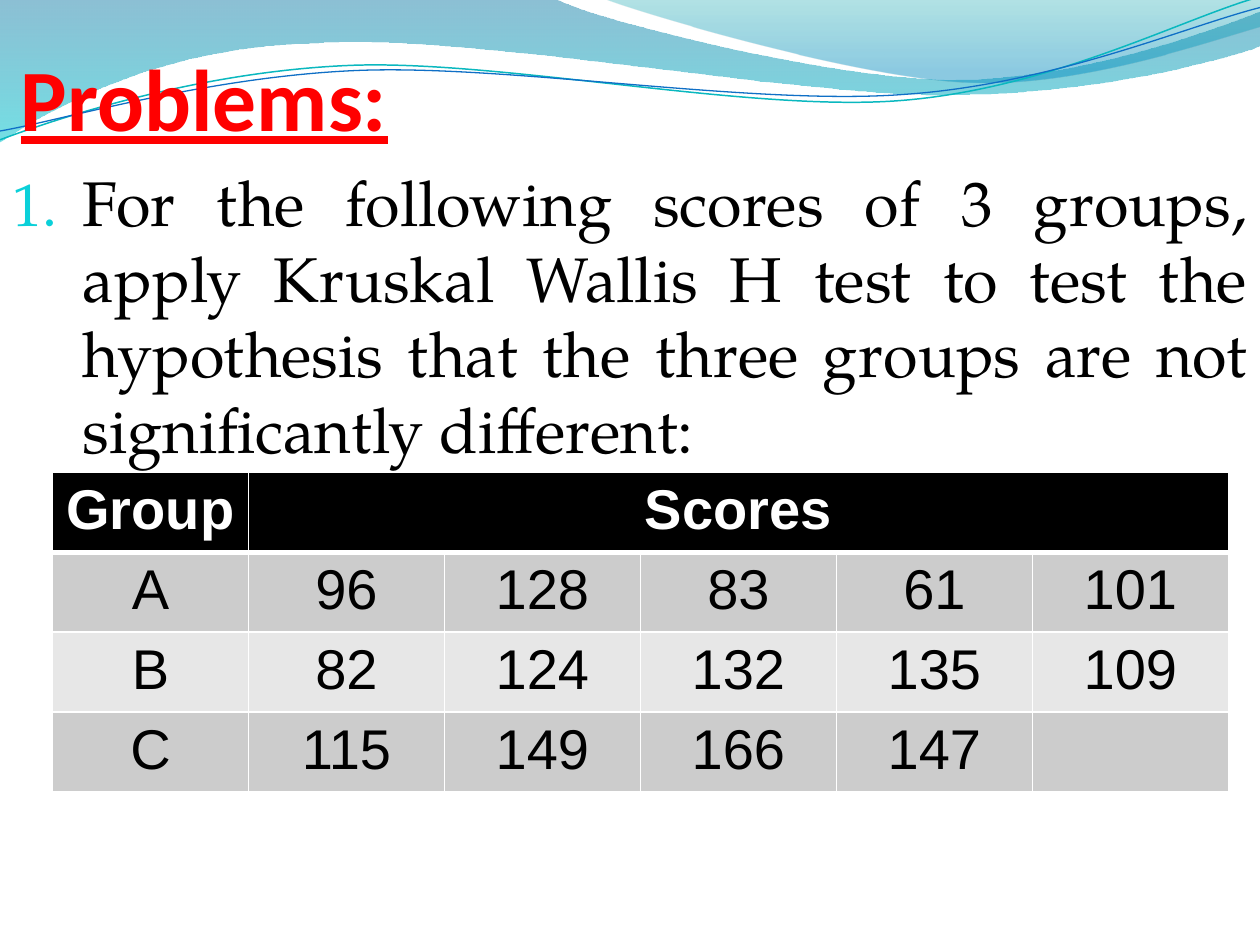
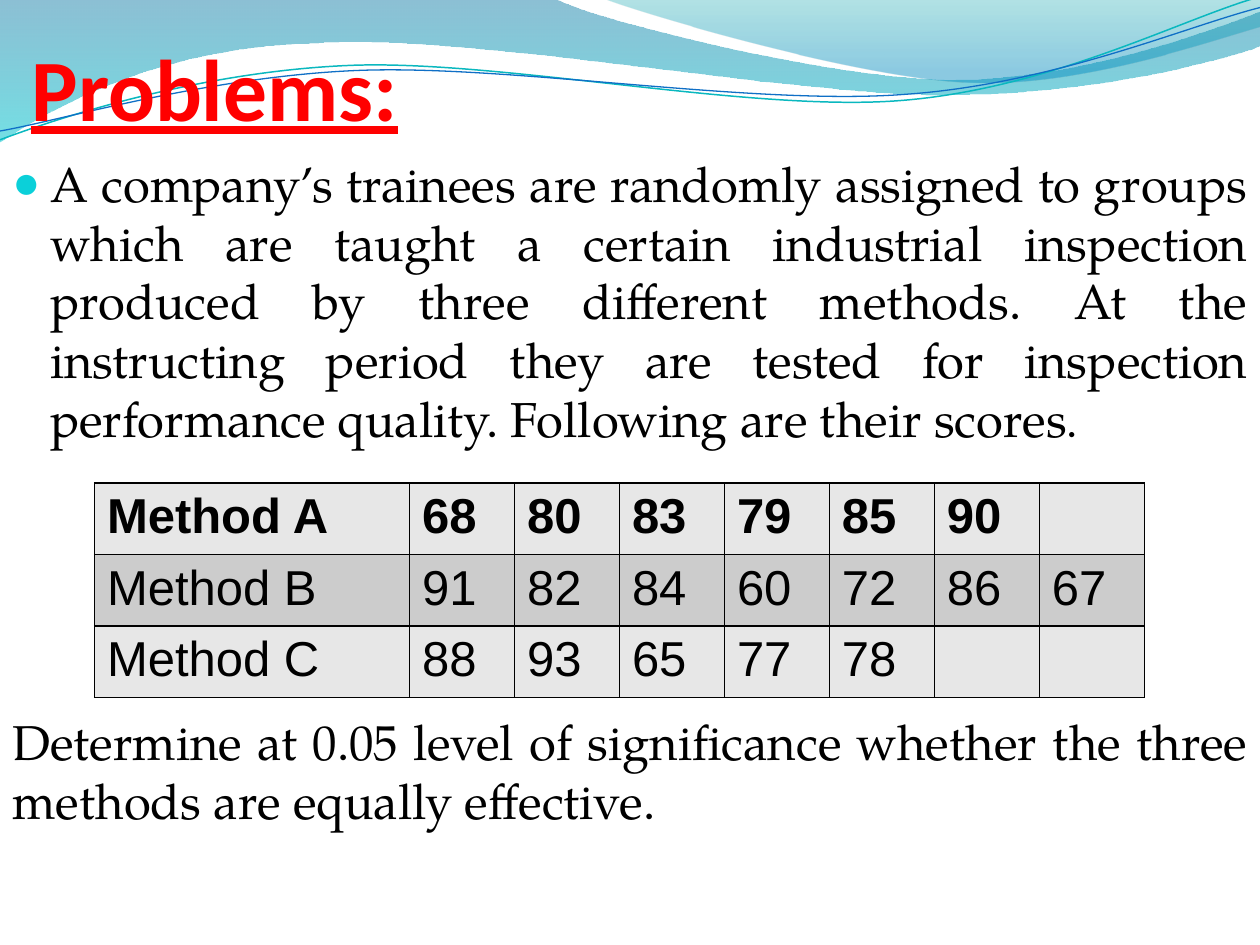
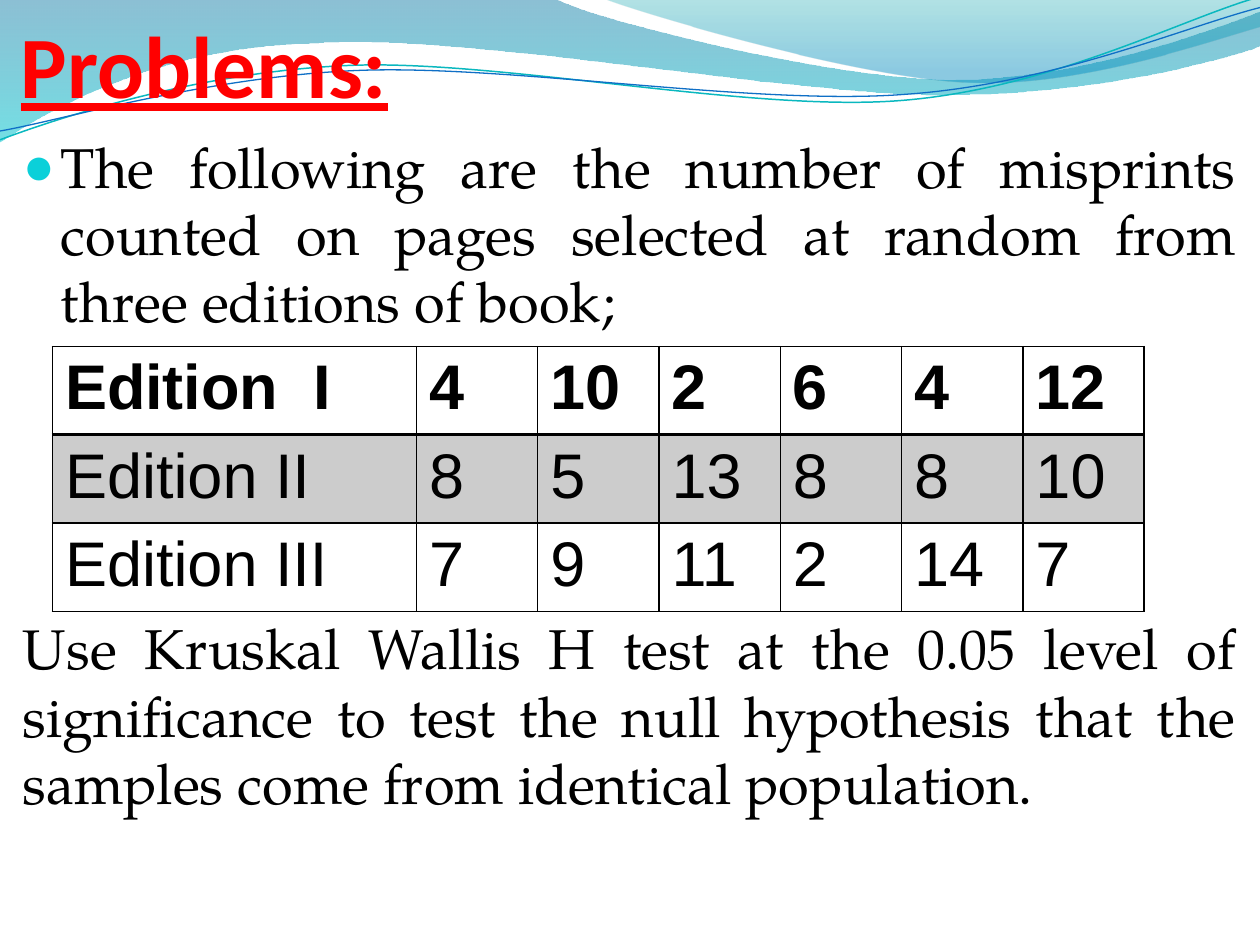
from dataclasses import dataclass

from lxml.etree import SubElement
from pptx import Presentation
from pptx.dml.color import RGBColor
from pptx.enum.text import MSO_ANCHOR as Anchor, PP_ALIGN as Align
from pptx.oxml.ns import qn
from pptx.util import Inches, Pt

GRID_COLUMNS, GRID_ROWS = 120, 90
CELLS_PER_INCH = 12
ROW_HEIGHT = 0.41


@dataclass(frozen=True)
class Theme:
    title_font: str = "Calibri"
    body_font: str = "TeX Gyre Pagella"
    table_font: str = "Arial"
    bullet_font: str = "Arial"
    title_size: int = 50
    title_color: str = "FF0000"
    bullet_color: str = "0BD0D9"
    black: str = "000000"
    white: str = "FFFFFF"
    dark_band: str = "CCCCCC"
    light_band: str = "E7E7E7"


THEME = Theme()

# Wave outlines in inches: a start, then line ends (2 numbers) or curves (6 numbers).
BANDS = [
    {"start": (0, 0),
     "segments": [(4.4, -0.01), (4.76, 0.17, 6.64, 0.63, 7.58, 0.63),
                  (8.53, 0.63, 9.58, 0.26, 10, 0.09), (10.01, 0.36),
                  (9.83, 0.44, 8.7, 0.76, 7.46, 0.75),
                  (6.22, 0.75, 3.82, 0.28, 2.57, 0.34),
                  (1.29, 0.36, 0.46, 0.83, -0.01, 1.13), (0, 0)],
     "stops": [(0, "0074A1", 45), (1, "00C6CF", 55)]},
    {"start": (4.79, -0.01),
     "segments": [(5.09, 0.11, 6.82, 0.62, 7.69, 0.65),
                  (8.56, 0.69, 9.61, 0.32, 10, 0.21), (10, 0), (4.79, -0.01)],
     "stops": [(0, "00A1A9", 30), (0.8, "008BBF", 45)]},
]
STROKES = [
    {"start": (0, 1.11),
     "segments": [(0.48, 0.93, 1.58, 0.57, 2.77, 0.52),
                  (3.95, 0.47, 5.93, 0.89, 7.13, 0.8),
                  (8.33, 0.71, 9.38, 0.15, 9.98, -0.02)],
     "color": "0AB8BF", "width": 0.85},
    {"start": (0, 1.04),
     "segments": [(0.47, 0.96, 1.64, 0.61, 2.83, 0.56),
                  (4.03, 0.51, 5.97, 0.84, 7.17, 0.75),
                  (8.36, 0.67, 9.41, 0.21, 10, 0.06)],
     "color": "0F6FC6", "width": 0.75},
]


def grid(cells):
    return Inches(cells / CELLS_PER_INCH)


def rgb(color):
    return RGBColor.from_string(color)


def bend(shape, segments):
    """Turn each run of three lines that stands for a curve into a real curve."""
    lines = iter(list(shape.element.iter(qn("a:lnTo"))))
    for segment in segments:
        first = next(lines)
        if len(segment) == 6:
            first.tag = qn("a:cubicBezTo")
            for _ in range(2):
                line = next(lines)
                first.append(line[0])
                line.getparent().remove(line)


def add_outline(page, start, segments, close):
    points = [(Inches(segment[i]), Inches(segment[i + 1]))
              for segment in segments for i in range(0, len(segment), 2)]
    builder = page.shapes.build_freeform(Inches(start[0]), Inches(start[1]), scale=1.0)
    builder.add_line_segments(points, close=close)
    shape = builder.convert_to_shape()
    bend(shape, segments)
    shape.shadow.inherit = False
    return shape


def add_band(page, start, segments, stops):
    band = add_outline(page, start, segments, close=True)
    band.line.fill.background()
    band.fill.gradient()
    band.fill.gradient_angle = 270
    for stop, (position, color, _) in zip(band.fill.gradient_stops, stops):
        stop.position = position
        stop.color.rgb = rgb(color)
    for node, (_, _, opacity) in zip(band.element.iter(qn("a:srgbClr")), stops):
        SubElement(node, qn("a:alpha"), val=str(opacity * 1000))


def add_stroke(page, start, segments, color, width):
    stroke = add_outline(page, start, segments, close=False)
    stroke.fill.background()
    stroke.line.color.rgb = rgb(color)
    stroke.line.width = Pt(width)


def add_page(deck):
    """Add a blank slide with the wave header."""
    page = deck.slides.add_slide(deck.slide_layouts[6])
    for band in BANDS:
        add_band(page, **band)
    for stroke in STROKES:
        add_stroke(page, **stroke)
    return page


def style(paragraph, font, size, color, bold=False, underline=False):
    for span in paragraph.runs:
        span.font.name = font
        span.font.size = Pt(size)
        span.font.color.rgb = rgb(color)
        span.font.bold = bold
        span.font.underline = underline


def add_box(page, left, top, width, height):
    box = page.shapes.add_textbox(grid(left), grid(top), grid(width), grid(height))
    box.text_frame.word_wrap = True
    return box.text_frame


def add_title(page, left, top, height):
    frame = add_box(page, left, top, 108, height)
    frame.vertical_anchor = Anchor.BOTTOM
    frame.margin_left = frame.margin_right = frame.margin_bottom = 0
    para = frame.paragraphs[0]
    para.text = "Problems:"
    style(para, THEME.title_font, THEME.title_size, THEME.title_color,
          bold=True, underline=True)


def add_bullet(para, indent, numbered):
    properties = para._p.get_or_add_pPr()
    properties.set("marL", str(Inches(indent)))
    properties.set("indent", str(-Inches(indent)))
    tint = SubElement(properties, qn("a:buClr"))
    SubElement(tint, qn("a:srgbClr"), val=THEME.bullet_color)
    SubElement(properties, qn("a:buSzPct"), val="95000")
    if numbered:
        SubElement(properties, qn("a:buAutoNum"), type="arabicPeriod")
    else:
        SubElement(properties, qn("a:buFont"), typeface=THEME.bullet_font)
        SubElement(properties, qn("a:buChar"), char="●")


def add_body(page, margin, top, size, question, task=None, table_gap=0,
             indent=0.3, numbered=False):
    """Write the bulleted question and, after room for the table, the task."""
    frame = add_box(page, margin, top, GRID_COLUMNS - 2 * margin, GRID_ROWS - top)
    para = frame.paragraphs[0]
    para.text = question
    para.space_before = Pt(0.2 * size)
    add_bullet(para, indent, numbered)
    if task:
        closing = frame.add_paragraph()
        closing.text = task
        closing.space_before = Pt(table_gap)
    for para in frame.paragraphs:
        para.alignment = Align.JUSTIFY
        style(para, THEME.body_font, size, THEME.black)
    return frame


def set_borders(cell, color, top, bottom):
    properties = cell._tc.get_or_add_tcPr()
    for tag, width in (("lnL", 1), ("lnR", 1), ("lnT", top), ("lnB", bottom)):
        edge = SubElement(properties, qn(f"a:{tag}"), w=str(Pt(width)))
        fill = SubElement(edge, qn("a:solidFill"))
        SubElement(fill, qn("a:srgbClr"), val=color)


def add_table(page, left, top, width, height, rows, size, fills, border,
              label_share=1, header_rule=1, header_color=THEME.black, align=Align.LEFT):
    """Add a table whose first column is label_share times as wide as the others."""
    count = len(rows[0])
    frame = page.shapes.add_table(len(rows), count, grid(left), grid(top),
                                  grid(width), Inches(height))
    table = frame.table
    table.first_row = table.horz_banding = False
    unit = width / (count - 1 + label_share)
    for index, column in enumerate(table.columns):
        column.width = grid(unit * (label_share if index == 0 else 1))
    for row in table.rows:
        row.height = Inches(ROW_HEIGHT)
    frame.height = Inches(height)
    for r, (values, fill) in enumerate(zip(rows, fills)):
        for c, value in enumerate(values):
            cell = table.cell(r, c)
            set_borders(cell, border, header_rule if r == 1 else 1,
                        header_rule if r == 0 else 1)
            if fill:
                cell.fill.solid()
                cell.fill.fore_color.rgb = rgb(fill)
            else:
                cell.fill.background()
            para = cell.text_frame.paragraphs[0]
            para.text = value
            para.alignment = align
            style(para, THEME.table_font, size,
                  header_color if r == 0 else THEME.black, bold=r == 0)
    return table


def build_groups(deck):
    page = add_page(deck)
    add_title(page, 2, 2, 12.2)
    add_body(page, 0, 15, 36,
             "For the following scores of 3 groups, apply Kruskal Wallis H test to test "
             "the hypothesis that the three groups are not significantly different:",
             indent=0.56, numbered=True)
    rows = [["Group", "Scores", "", "", "", ""],
            ["A", "96", "128", "83", "61", "101"],
            ["B", "82", "124", "132", "135", "109"],
            ["C", "115", "149", "166", "147", ""]]
    fills = [THEME.black, THEME.dark_band, THEME.light_band, THEME.dark_band]
    table = add_table(page, 5, 45, 112, 2.53, rows, 32, fills, THEME.white,
                      header_rule=3, header_color=THEME.white, align=Align.CENTER)
    table.cell(0, 1).merge(table.cell(0, 5))


def build_methods(deck):
    page = add_page(deck)
    add_title(page, 3, 2, 11.2)
    frame = add_body(
        page, 0, 14, 28,
        "A company’s trainees are randomly assigned to groups which are taught a "
        "certain industrial inspection produced by three different methods. At the "
        "instructing period they are tested for inspection performance quality. "
        "Following are their scores",
        "Determine at 0.05 level of significance whether the three methods are "
        "equally effective.", table_gap=151)
    question = frame.paragraphs[0]
    full_stop = question.add_run()
    full_stop.text = "."
    style(question, THEME.body_font, 28, THEME.black)
    full_stop.font.size = Pt(26)
    rows = [["Method A", "68", "80", "83", "79", "85", "90", ""],
            ["Method B", "91", "82", "84", "60", "72", "86", "67"],
            ["Method C", "88", "93", "65", "77", "78", "", ""]]
    fills = [THEME.light_band, THEME.dark_band, THEME.light_band]
    add_table(page, 9, 46, 100, 1.7, rows, 28, fills, THEME.black, label_share=3)


def build_editions(deck):
    page = add_page(deck)
    add_title(page, 2, 0.1, 10.95)
    add_body(page, 1, 12, 32,
             "The following are the number of misprints counted on pages selected at "
             "random from three editions of book;",
             "Use Kruskal Wallis H test at the 0.05 level of significance to test the "
             "null hypothesis that the samples come from identical population.",
             table_gap=160)
    rows = [["Edition  I", "4", "10", "2", "6", "4", "12"],
            ["Edition II", "8", "5", "13", "8", "8", "10"],
            ["Edition III", "7", "9", "11", "2", "14", "7"]]
    add_table(page, 5, 33, 104, 2.1, rows, 36, [None, THEME.dark_band, None],
              THEME.black, label_share=3, header_rule=2)


def main():
    deck = Presentation()
    deck.slide_width, deck.slide_height = grid(GRID_COLUMNS), grid(GRID_ROWS)
    build_groups(deck)
    build_methods(deck)
    build_editions(deck)
    deck.save("out.pptx")


if __name__ == "__main__":
    main()
